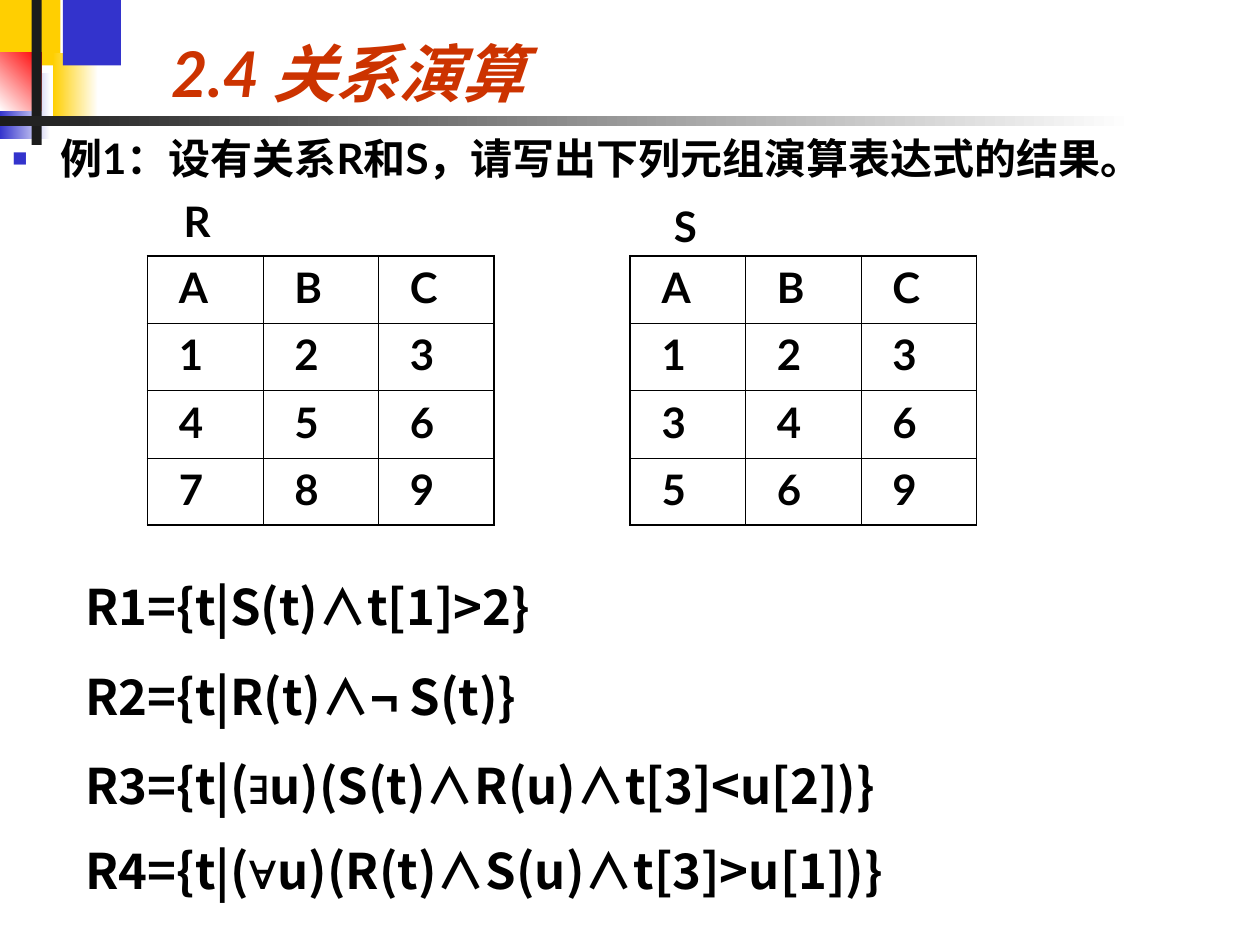
from dataclasses import dataclass
from itertools import groupby

from lxml import etree
from pptx import Presentation
from pptx.dml.color import RGBColor
from pptx.enum.shapes import MSO_SHAPE
from pptx.enum.text import MSO_ANCHOR
from pptx.oxml.ns import qn
from pptx.util import Inches, Pt

RECT = MSO_SHAPE.RECTANGLE
TOP, BOTTOM = MSO_ANCHOR.TOP, MSO_ANCHOR.BOTTOM
LATO, SANS, ARIAL = "Lato", "Noto Sans CJK SC", "Arial"
BLACK, WHITE, DARK = "000000", "FFFFFF", "1C1C1C"
YELLOW, BLUE, RED, ORANGE = "FFCF01", "3333CC", "FF0000", "CC3300"
OUTER, INNER = 1.08, 0.45
SYMBOLS = "¬∃∀"


@dataclass
class Block:
    left: float
    top: float
    width: float
    height: float
    colors: tuple[str, ...]
    angle: int = 0


@dataclass
class Label:
    text: str
    left: float
    top: float
    width: float
    height: float
    size: int = 24
    color: str = BLACK
    italic: bool = False
    anchor: MSO_ANCHOR = TOP


@dataclass
class Relation:
    left: float
    rows: tuple[str, ...]


BLOCKS = [
    Block(0, 0, 0.48, 0.52, (YELLOW,)),
    Block(0.42, 0.42, 0.36, 0.52, (YELLOW, WHITE)),
    Block(0.5, 0, 0.46, 0.52, (BLUE,)),
    Block(0, 0.58, 0.4, 0.52, (BLUE, WHITE)),
    Block(0, 0.42, 0.33, 0.46, (WHITE, RED), 45),
    Block(0.25, 0, 0.08, 1.15, (DARK,)),
    Block(0, 0.92, 9, 0.08, (DARK, WHITE)),
]
TITLE = Label("2.4 关系演算", 1.26, 0, 8.74, 0.92, 36, ORANGE, True, BOTTOM)
EXAMPLE = Label("例1：设有关系R和S，请写出下列元组演算表达式的结果。", 0, 1, 10, 0.58)
NAMES = [Label("R", 1.36, 1.5, 0.83, 0.5), Label("S", 5.25, 1.54, 0.83, 0.5)]
RELATIONS = [
    Relation(1.17, ("ABC", "123", "456", "789")),
    Relation(5, ("ABC", "123", "346", "569")),
]
FORMULAS = [
    ("R1={t|S(t)∧t[1]>2}", 0),
    ("R2={t|R(t)∧¬ S(t)}", 17.5),
    ("R3={t|(∃u)(S(t)∧R(u)∧t[3]<u[2])}", 17.5),
    ("R4={t|(∀u)(R(t)∧S(u)∧t[3]>u[1])}", 15),
]


def rgb(value: str) -> RGBColor:
    return RGBColor.from_string(value)


def style_run(r, size: int, name: str, color: str = BLACK, italic: bool = False) -> None:
    r.font.size = Pt(size)
    r.font.name = name
    r.font.bold = True
    r.font.italic = italic
    r.font.color.rgb = rgb(color)
    etree.SubElement(r.font._element, qn("a:ea"), typeface=name)


def add_block(s, b: Block) -> None:
    sp = s.shapes.add_shape(
        RECT, Inches(b.left), Inches(b.top), Inches(b.width), Inches(b.height)
    )
    sp.shadow.inherit = False
    sp.line.fill.background()
    if len(b.colors) == 1:
        sp.fill.solid()
        sp.fill.fore_color.rgb = rgb(b.colors[0])
        return
    sp.fill.gradient()
    sp.fill.gradient_angle = b.angle
    for stop, color in zip(sp.fill.gradient_stops, b.colors):
        stop.color.rgb = rgb(color)


def add_frame(s, left: float, top: float, width: float, height: float):
    tf = s.shapes.add_textbox(
        Inches(left), Inches(top), Inches(width), Inches(height)
    ).text_frame
    tf.word_wrap = True
    return tf


def add_label(s, label: Label):
    tf = add_frame(s, label.left, label.top, label.width, label.height)
    tf.vertical_anchor = label.anchor
    tf.text = label.text
    p = tf.paragraphs[0]
    style_run(p.runs[0], label.size, LATO, label.color, label.italic)
    return p


def add_bullet(p) -> None:
    pPr = p._p.get_or_add_pPr()
    pPr.set("marL", str(Inches(0.38)))
    pPr.set("indent", str(Inches(-0.38)))
    color = etree.SubElement(pPr, qn("a:buClr"))
    etree.SubElement(color, qn("a:srgbClr"), val=BLUE)
    etree.SubElement(pPr, qn("a:buSzPct"), val="60000")
    etree.SubElement(pPr, qn("a:buFont"), typeface=ARIAL)
    etree.SubElement(pPr, qn("a:buChar"), char="■")


def set_border(cell, side: str, width: float) -> None:
    tcPr = cell._tc.get_or_add_tcPr()
    ln = etree.SubElement(tcPr, qn(f"a:ln{side}"), w=str(Pt(width)))
    fill = etree.SubElement(ln, qn("a:solidFill"))
    etree.SubElement(fill, qn("a:srgbClr"), val=BLACK)


def add_relation(s, relation: Relation) -> None:
    n_rows, n_cols = len(relation.rows), len(relation.rows[0])
    table = s.shapes.add_table(
        n_rows, n_cols, Inches(relation.left), Inches(2.03), Inches(2.75), Inches(2.14)
    ).table
    table.first_row = False
    table.horz_banding = False
    for i, row in enumerate(relation.rows):
        for j, value in enumerate(row):
            cell = table.cell(i, j)
            edges = {"L": j == 0, "R": j == n_cols - 1, "T": i == 0, "B": i == n_rows - 1}
            for side, is_outer in edges.items():
                set_border(cell, side, OUTER if is_outer else INNER)
            cell.fill.background()
            cell.margin_left = Inches(0.25)
            cell.text = value
            style_run(cell.text_frame.paragraphs[0].runs[0], 24, LATO)


def add_formulas(s) -> None:
    tf = add_frame(s, 0.58, 4.5, 9.42, 2.66)
    tf.margin_top = Inches(0.08)
    for i, (formula, space) in enumerate(FORMULAS):
        p = tf.add_paragraph() if i else tf.paragraphs[0]
        p.line_spacing = Pt(33.6)
        p.space_before = Pt(space)
        for is_symbol, chars in groupby(formula, lambda c: c in SYMBOLS):
            r = p.add_run()
            r.text = "".join(chars)
            style_run(r, 28, ARIAL if is_symbol else SANS)


def main() -> None:
    prs = Presentation()
    prs.slide_width, prs.slide_height = Inches(10), Inches(7.5)
    s = prs.slides.add_slide(prs.slide_layouts[6])
    for block in BLOCKS:
        add_block(s, block)
    add_label(s, TITLE)
    add_bullet(add_label(s, EXAMPLE))
    for relation in RELATIONS:
        add_relation(s, relation)
    for name in NAMES:
        add_label(s, name)
    add_formulas(s)
    prs.save("out.pptx")


if __name__ == "__main__":
    main()
